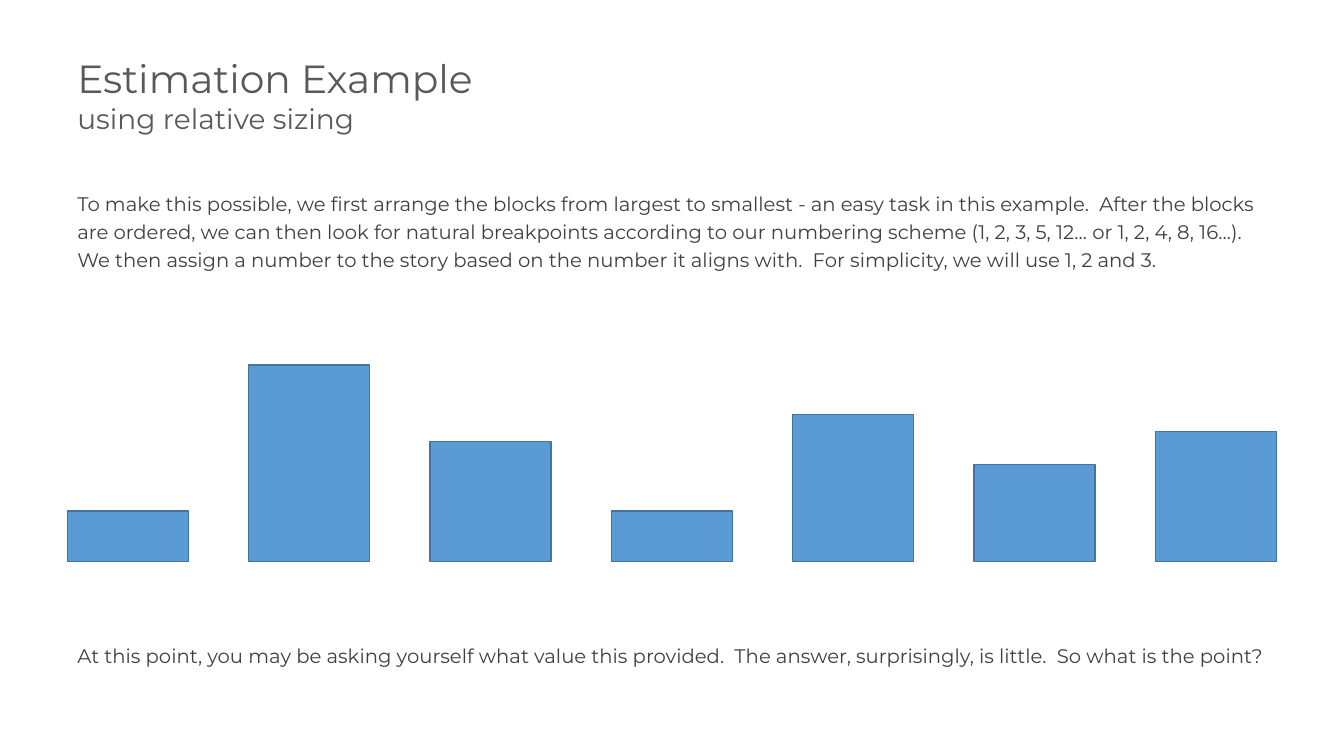
from dataclasses import dataclass

from pptx import Presentation
from pptx.dml.color import RGBColor
from pptx.enum import shapes, text
from pptx.util import Cm, Pt


@dataclass(frozen=True)
class Theme:
    font: str = "Montserrat"
    heading: RGBColor = RGBColor(0x59, 0x59, 0x59)
    body: RGBColor = RGBColor(0x40, 0x40, 0x40)
    block: RGBColor = RGBColor(0x5B, 0x9B, 0xD5)
    block_edge: RGBColor = RGBColor(0x43, 0x73, 0x9E)
    title_size: int = 28
    subtitle_size: int = 20
    body_size: int = 14
    body_leading: int = 20


THEME = Theme()
LEFT = 1.7
TEXT_WIDTH = 30.48
BLOCK_WIDTH = 3.05
BLOCK_PITCH = 4.57
BLOCK_BASELINE = 14.15
BLOCK_HEIGHTS = (1.27, 4.95, 3.02, 1.27, 3.71, 2.44, 3.28)

ORDERING = (
    "To make this possible, we first arrange the blocks from largest to smallest - "
    "an easy task in this example.  After the blocks are ordered, we can then look for "
    "natural breakpoints according to our numbering scheme (1, 2, 3, 5, 12… or "
    "1, 2, 4, 8, 16…).  We then assign a number to the story based on the number it "
    "aligns with.  For simplicity, we will use 1, 2 and 3."
)
QUESTION = (
    "At this point, you may be asking yourself what value this provided.  "
    "The answer, surprisingly, is little.  So what is the point?"
)


def add_text(page, top, height, lines, color, leading=None):
    """Add a full-width text box; lines holds (wording, size) pairs."""
    box = page.shapes.add_textbox(Cm(LEFT), Cm(top), Cm(TEXT_WIDTH), Cm(height))
    frame = box.text_frame
    frame.word_wrap = True
    frame.vertical_anchor = text.MSO_ANCHOR.TOP
    frame.text = "\n".join(wording for wording, _ in lines)
    for para, (_, size) in zip(frame.paragraphs, lines):
        if leading:
            para.line_spacing = Pt(leading)
        for span in para.runs:
            span.font.name = THEME.font
            span.font.size = Pt(size)
            span.font.color.rgb = color


def add_heading(page, title, subtitle):
    lines = [(title, THEME.title_size), (subtitle, THEME.subtitle_size)]
    add_text(page, 1.25, 2.8, lines, THEME.heading)


def add_body(page, top, height, wording):
    lines = [(wording, THEME.body_size)]
    add_text(page, top, height, lines, THEME.body, THEME.body_leading)


def add_block(page, position, height):
    """Add one story block standing on the shared baseline."""
    block = page.shapes.add_shape(
        shapes.MSO_SHAPE.RECTANGLE,
        Cm(LEFT + position * BLOCK_PITCH),
        Cm(BLOCK_BASELINE - height),
        Cm(BLOCK_WIDTH),
        Cm(height),
    )
    block.shadow.inherit = False
    block.fill.solid()
    block.fill.fore_color.rgb = THEME.block
    block.line.color.rgb = THEME.block_edge
    block.line.width = Pt(1)


def main():
    deck = Presentation()
    deck.slide_width, deck.slide_height = Cm(33.87), Cm(19.05)
    page = deck.slides.add_slide(deck.slide_layouts[6])

    add_heading(page, "Estimation Example", "using relative sizing")
    add_body(page, 4.6, 3.43, ORDERING)
    add_body(page, 16, 1.83, QUESTION)
    for position, height in enumerate(BLOCK_HEIGHTS):
        add_block(page, position, height)

    deck.save("out.pptx")


if __name__ == "__main__":
    main()
